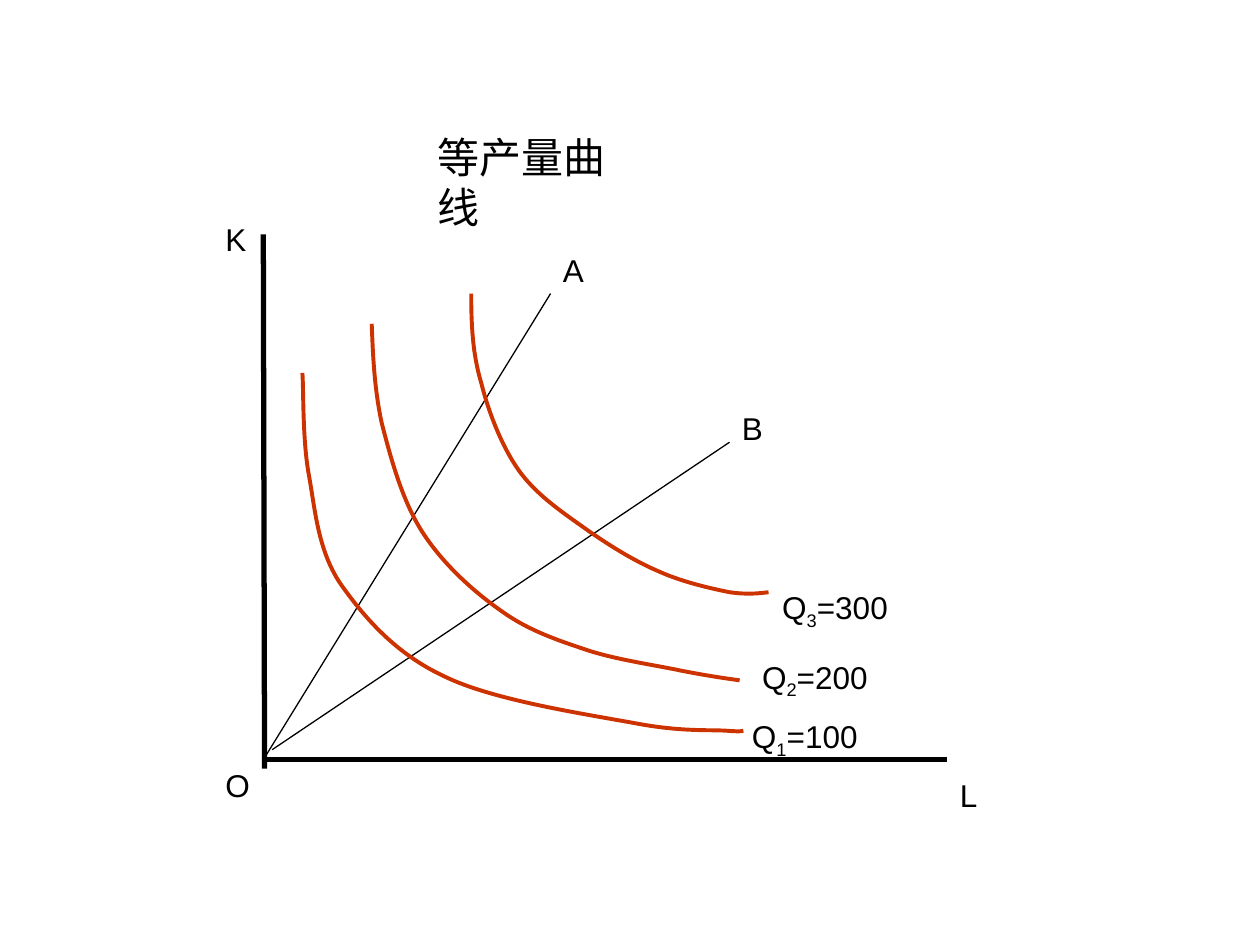
from dataclasses import dataclass

from lxml import etree
from pptx import Presentation
from pptx.dml.color import RGBColor
from pptx.enum.shapes import MSO_CONNECTOR
from pptx.enum.text import MSO_ANCHOR, MSO_AUTO_SIZE, PP_ALIGN
from pptx.oxml.ns import qn
from pptx.util import Inches, Pt

STRAIGHT = MSO_CONNECTOR.STRAIGHT
TOP = MSO_ANCHOR.TOP
LEFT = PP_ALIGN.LEFT
FIT_SHAPE = MSO_AUTO_SIZE.SHAPE_TO_FIT_TEXT
TITLE_ONLY = 5


@dataclass(frozen=True)
class Theme:
    """Colours, font and sizes of the slide."""
    ink: RGBColor = RGBColor(0x00, 0x00, 0x00)
    curve: RGBColor = RGBColor(0xCC, 0x33, 0x00)
    font: str = "Arial"
    title_size: Pt = Pt(24)
    label_size: Pt = Pt(18)
    axis_width: Pt = Pt(3)
    ray_width: Pt = Pt(0.75)
    curve_width: Pt = Pt(2.25)


THEME = Theme()
TITLE_BOX = (3.28, 0.99, 1.94, 0.5)
PLOT_BOX = (2.09, 1.86, 5.43, 4.17)

RAYS = [((0, 4.17), (2.28, 0.47)), ((0.07, 4.09), (3.7, 1.65))]

ISOQUANTS = [
    [(0.31, 1.1),
     (0.32, 1.24), (0.31, 1.62), (0.36, 1.9),
     (0.41, 2.17), (0.43, 2.5), (0.61, 2.77),
     (0.8, 3.04), (1.05, 3.33), (1.44, 3.51),
     (1.83, 3.7), (2.57, 3.81), (2.95, 3.88),
     (3.32, 3.95), (3.54, 3.93), (3.68, 3.94),
     (3.82, 3.95), (3.78, 3.94), (3.81, 3.94)],
    [(0.86, 0.71),
     (0.87, 0.96), (0.88, 1.22), (0.94, 1.5),
     (1.01, 1.77), (1.1, 2.11), (1.26, 2.36),
     (1.42, 2.61), (1.66, 2.83), (1.89, 2.99),
     (2.11, 3.15), (2.36, 3.23), (2.6, 3.31),
     (2.83, 3.38), (3.11, 3.42), (3.3, 3.46),
     (3.5, 3.5), (3.64, 3.52), (3.78, 3.54)],
    [(1.65, 0.47),
     (1.65, 0.71), (1.66, 0.95), (1.73, 1.18),
     (1.79, 1.42), (1.9, 1.7), (2.04, 1.89),
     (2.19, 2.09), (2.41, 2.23), (2.59, 2.36),
     (2.78, 2.49), (2.96, 2.6), (3.15, 2.68),
     (3.33, 2.76), (3.55, 2.81), (3.7, 2.84),
     (3.84, 2.86), (3.93, 2.85), (4.01, 2.84)],
]

POINT_LABELS = [
    ("K", -0.4, -0.16), ("L", 5.43, 4.25), ("O", -0.4, 4.17),
    ("A", 2.28, 0.08), ("B", 3.7, 1.34),
]
OUTPUT_LABELS = [(3.78, 3.78), (3.86, 3.31), (4.02, 2.76)]


def set_attributes(target, values):
    """Set each named attribute of the target."""
    for name, value in values.items():
        setattr(target, name, value)


def place(shape, box):
    """Move and size a shape to a box in inches."""
    names = ("left", "top", "width", "height")
    set_attributes(shape, dict(zip(names, map(Inches, box))))


def write_text(shape, parts, size, left_margin=0.1):
    """Write (text, is_subscript) parts as one left-aligned line."""
    frame = shape.text_frame
    set_attributes(frame, {
        "word_wrap": False, "auto_size": FIT_SHAPE, "vertical_anchor": TOP,
        "margin_left": Inches(left_margin), "margin_right": Inches(0.1),
        "margin_top": Inches(0.05), "margin_bottom": Inches(0.05),
    })
    paragraph = frame.paragraphs[0]
    paragraph.alignment = LEFT
    for text, is_subscript in parts:
        run = paragraph.add_run()
        run.text = text
        set_attributes(run.font, {"name": THEME.font, "size": size})
        run.font.color.rgb = THEME.ink
        if is_subscript:
            run._r.get_or_add_rPr().set("baseline", "-25000")


def style_line(shape, color, width):
    """Give a line or outline its colour and width."""
    shape.line.color.rgb = color
    shape.line.width = width


def add_line(slide, box, start, end, width):
    """Draw a straight line between two points of the box."""
    left, top = box[:2]
    ends = [Inches(value) for x, y in (start, end)
            for value in (left + x, top + y)]
    connector = slide.shapes.add_connector(STRAIGHT, *ends)
    style_line(connector, THEME.ink, width)
    etree.SubElement(connector._element.spPr, qn("a:effectLst"))


def add_curve(slide, box, points):
    """Draw joined cubic curves from a start point and point triples."""
    left, top = box[:2]
    vertices = [(Inches(left + x), Inches(top + y)) for x, y in points]
    builder = slide.shapes.build_freeform(*vertices[0])
    builder.add_line_segments(vertices[1:], close=False)
    shape = builder.convert_to_shape()
    shape.fill.background()
    shape.shadow.inherit = False
    style_line(shape, THEME.curve, THEME.curve_width)
    outline = next(shape._element.iter(qn("a:path")))
    segments = outline.findall(qn("a:lnTo"))
    for index in range(0, len(segments), 3):
        cubic = etree.SubElement(outline, qn("a:cubicBezTo"))
        for segment in segments[index:index + 3]:
            cubic.append(segment[0])
            outline.remove(segment)


def add_label(slide, box, parts, x, y, width, height):
    """Add a text label at a point of the box."""
    left, top = box[:2]
    label = slide.shapes.add_textbox(
        *map(Inches, (left + x, top + y, width, height)))
    write_text(label, parts, THEME.label_size)


def add_title(slide, box):
    """Place and format the slide title."""
    title = slide.shapes.title
    place(title, box)
    write_text(title, [("等产量曲线", False)], THEME.title_size, 0.19)


def add_isoquant_plot(slide, box):
    """Draw axes, rays, isoquants and labels in the box."""
    width, height = box[2:]
    add_line(slide, box, (0, height), (width, height), THEME.axis_width)
    add_line(slide, box, (0, 0), (0.01, height + 0.07), THEME.axis_width)
    for start, end in RAYS:
        add_line(slide, box, start, end, THEME.ray_width)
    for points in ISOQUANTS:
        add_curve(slide, box, points)
    for text, x, y in POINT_LABELS:
        add_label(slide, box, [(text, False)], x, y, 0.36, 0.4)
    for number, (x, y) in enumerate(OUTPUT_LABELS, start=1):
        parts = [("Q", False), (str(number), True),
                 (f"={number * 100}", False)]
        add_label(slide, box, parts, x, y, 1.04, 0.44)


def main():
    """Build and save the presentation."""
    presentation = Presentation()
    presentation.slide_width = Inches(10)
    presentation.slide_height = Inches(7.5)
    layout = presentation.slide_layouts[TITLE_ONLY]
    slide = presentation.slides.add_slide(layout)
    add_title(slide, TITLE_BOX)
    add_isoquant_plot(slide, PLOT_BOX)
    presentation.save("out.pptx")


if __name__ == "__main__":
    main()
